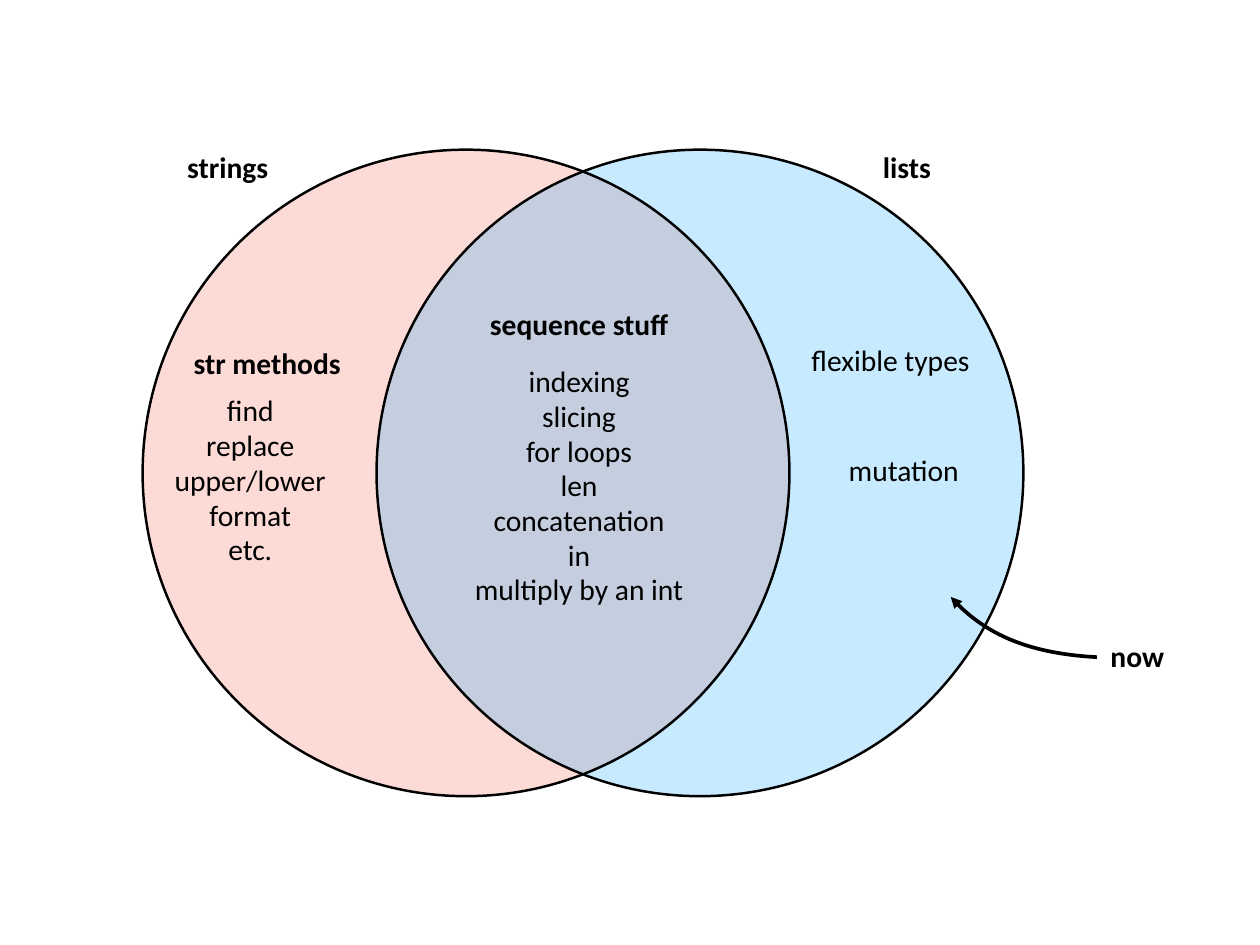
"""Build a Venn diagram slide comparing strings and lists."""
from lxml.etree import SubElement
from pptx import Presentation
from pptx.dml.color import RGBColor as RGB
from pptx.enum.shapes import MSO_SHAPE as Shape
from pptx.enum.text import MSO_ANCHOR as Anchor, MSO_AUTO_SIZE as Auto, PP_ALIGN as Align
from pptx.oxml.ns import qn
from pptx.util import Pt

PX = 9144
INK = {"black": "000000", "red": "EE230C", "blue": "00A2FF"}

deck = Presentation()
deck.slide_width, deck.slide_height = 1422 * PX, 1067 * PX
slide = deck.slides.add_slide(deck.slide_layouts[6])
shapes = slide.shapes


def draw_line(shape, width):
    shape.shadow.inherit = False
    shape.fill.background()
    shape.line.color.rgb = RGB.from_string(INK["black"])
    shape.line.width = Pt(width)


def add_text(text, left, top, width, height, space=None):
    box = shapes.add_textbox(left * PX, top * PX, width * PX, height * PX)
    frame = box.text_frame
    frame.margin_left = frame.margin_right = 6 * PX
    frame.margin_top = frame.margin_bottom = 6 * PX
    frame.word_wrap = True
    frame.text = text
    for para in frame.paragraphs:
        para.alignment = Align.CENTER
        para.line_spacing = space
        font = para.runs[0].font
        font.name, font.size = "Calibri", Pt(24)
        font.color.rgb = RGB.from_string(INK["black"])
    return frame


SIZE, TOP = 730, 169
sets = [(161, "red", 16), (425, "blue", 22)]
for left, color, alpha in sets:
    disc = shapes.add_shape(Shape.OVAL, left * PX, TOP * PX, SIZE * PX, SIZE * PX)
    disc.shadow.inherit = False
    disc.line.fill.background()
    disc.fill.solid()
    disc.fill.fore_color.rgb = RGB.from_string(INK[color])
    tint = disc.fill._xPr.find(".//" + qn("a:srgbClr"))
    SubElement(tint, qn("a:alpha"), val=str(alpha * 1000))

for left, color, alpha in sets:
    ring = shapes.add_shape(Shape.OVAL, left * PX, TOP * PX, SIZE * PX, SIZE * PX)
    draw_line(ring, 2)

heads = [
    ("strings", 194, 163, 126),
    ("lists", 983, 163, 81),
    ("sequence stuff", 525, 340, 257),
    ("str methods", 192, 385, 219),
    ("now", 1242, 715, 83),
]
for text, left, top, width in heads:
    frame = add_text(text, left, top, width, 50)
    frame.word_wrap = False
    frame.auto_size = Auto.SHAPE_TO_FIT_TEXT
    frame.vertical_anchor = Anchor.MIDDLE
    frame.paragraphs[0].runs[0].font.bold = True

shared = ["indexing", "slicing", "for loops", "len", "concatenation", "in", "multiply by an int"]
methods = ["find", "replace", "upper/lower", "format", "etc."]
add_text("\n".join(shared), 392, 406, 523, 404, 0.98)
add_text("\n".join(methods), 21, 439, 523, 404, 0.98)
add_text("flexible types", 903, 385, 204, 50, 0.9)
add_text("mutation", 931, 509, 178, 50, 0.9)

pen = shapes.build_freeform(1238, 742, scale=PX)
pen.add_line_segments([(1164, 738), (1109, 715), (1073, 674)], close=False)
arrow = pen.convert_to_shape()
draw_line(arrow, 3)
track = arrow._element.find(".//" + qn("a:path"))
curve = SubElement(track, qn("a:cubicBezTo"))
for step in track.findall(qn("a:lnTo")):
    curve.append(step[0])
    track.remove(step)
SubElement(arrow.line._get_or_add_ln(), qn("a:tailEnd"), type="triangle")

deck.save("out.pptx")
